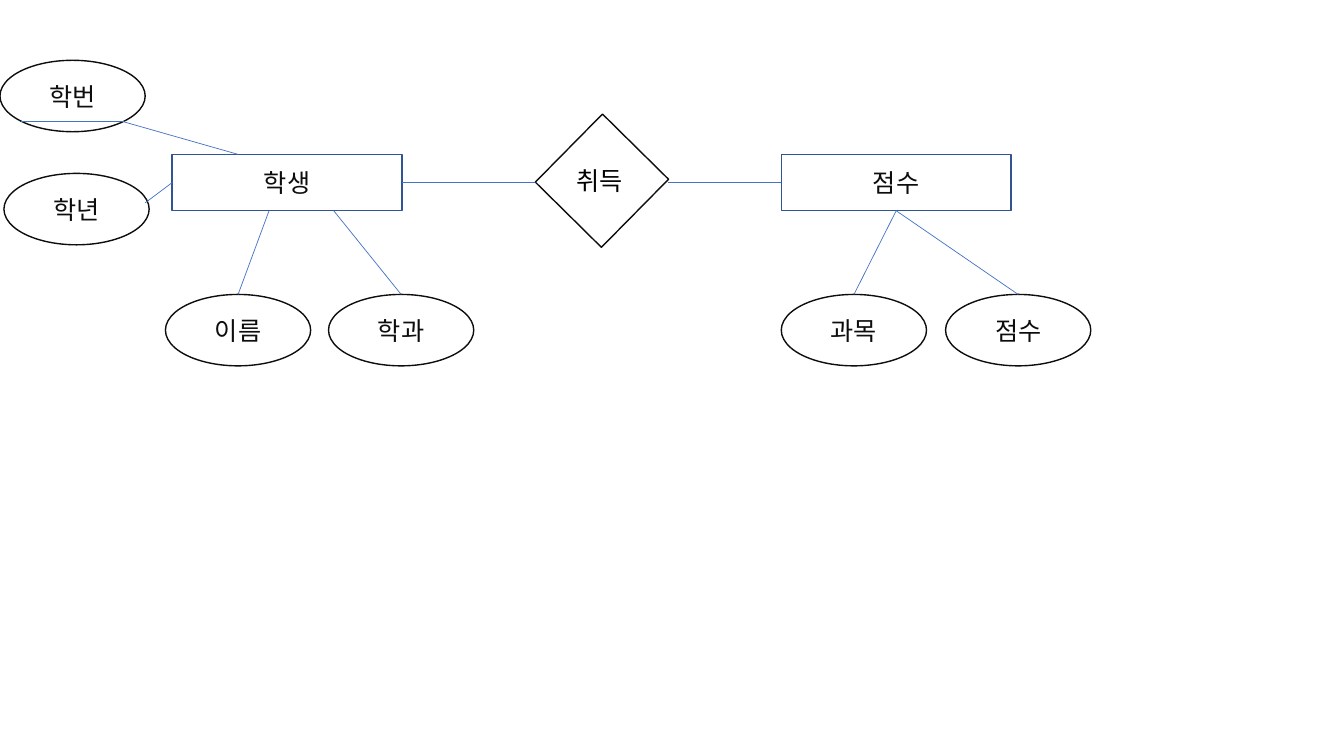
from dataclasses import dataclass
from typing import Optional

import lxml.etree
import pptx
import pptx.dml.color
import pptx.enum.shapes
import pptx.enum.text
import pptx.oxml.ns
import pptx.shapes.autoshape
import pptx.slide
import pptx.text.text
import pptx.util

Cm = pptx.util.Cm
Kind = pptx.enum.shapes.MSO_SHAPE
Align = pptx.enum.text.PP_ALIGN
Point = tuple[float, float]


@dataclass(frozen=True)
class Theme:
    font: str = "Noto Sans CJK KR"
    text_size: float = 18
    paper: str = "FFFFFF"
    ink: str = "0D0D0D"
    relation_ink: str = "000000"
    entity_line: str = "325491"
    link_line: str = "4472C4"
    outline_width: float = 1
    link_width: float = 0.5


@dataclass(frozen=True)
class Node:
    text: str
    left: float
    top: float
    width: float
    height: float
    kind: Kind
    line: str
    rotation: float = 0


@dataclass(frozen=True)
class Link:
    start: Point
    end: Point
    entity: Optional[str] = None  # entity joined at the start
    side: int = 0


THEME = Theme()
TOP, LEFT, BOTTOM, RIGHT = range(4)

# Entities
ENTITY_TOP, ENTITY_WIDTH, ENTITY_HEIGHT = 3.89, 5.79, 1.42
ENTITY_BOTTOM = ENTITY_TOP + ENTITY_HEIGHT
AXIS = ENTITY_TOP + ENTITY_HEIGHT / 2
STUDENT_LEFT, SCORE_LEFT = 4.34, 19.69
STUDENT_RIGHT = STUDENT_LEFT + ENTITY_WIDTH
SCORE_MIDDLE = SCORE_LEFT + ENTITY_WIDTH / 2
ENTITIES = {
    name: Node(text, left, ENTITY_TOP, ENTITY_WIDTH, ENTITY_HEIGHT,
               Kind.RECTANGLE, THEME.entity_line)
    for name, text, left in [("student", "학생", STUDENT_LEFT),
                             ("score", "점수", SCORE_LEFT)]
}

# Attributes
OVAL_WIDTH, OVAL_HEIGHT, ROW_TOP = 3.66, 1.8, 7.42
NAME_LEFT, MAJOR_LEFT, SUBJECT_LEFT, POINTS_LEFT = 4.17, 8.28, 19.69, 23.83
ATTRIBUTES = [
    Node(text, left, top, OVAL_WIDTH, OVAL_HEIGHT, Kind.OVAL, THEME.ink)
    for text, left, top in [
        ("학번", 0, 1.52),
        ("학년", 0.1, 4.37),
        ("이름", NAME_LEFT, ROW_TOP),
        ("학과", MAJOR_LEFT, ROW_TOP),
        ("과목", SUBJECT_LEFT, ROW_TOP),
        ("점수", POINTS_LEFT, ROW_TOP),
    ]
]

# Relationship: a turned rectangle with its label on top
RELATION = Node("", 14, 3.35, 2.34, 2.41, Kind.RECTANGLE, THEME.ink, 44.6)


def oval_top(left: float) -> Point:
    return left + OVAL_WIDTH / 2, ROW_TOP


KEY_END = (3.12, 3.07)
LINKS = [
    Link((0.53, 3.07), KEY_END),  # key underline
    Link(KEY_END, (6, ENTITY_TOP)),
    Link((STUDENT_LEFT, AXIS), (3.66, 5.11), "student", LEFT),
    Link((6.78, ENTITY_BOTTOM), oval_top(NAME_LEFT)),
    Link((8.41, ENTITY_BOTTOM), oval_top(MAJOR_LEFT)),
    Link((STUDENT_RIGHT, AXIS), (13.49, AXIS), "student", RIGHT),
    Link((SCORE_LEFT, AXIS), (16.84, AXIS), "score", LEFT),
    Link((SCORE_MIDDLE, ENTITY_BOTTOM), oval_top(SUBJECT_LEFT), "score", BOTTOM),
    Link((SCORE_MIDDLE, ENTITY_BOTTOM), oval_top(POINTS_LEFT), "score", BOTTOM),
]


def rgb(value: str) -> pptx.dml.color.RGBColor:
    return pptx.dml.color.RGBColor.from_string(value)


def write(frame: pptx.text.text.TextFrame, text: str, color: str, align: Align) -> None:
    para = frame.paragraphs[0]
    para.alignment = align
    span = para.add_run()
    span.text = text
    span.font.size = pptx.util.Pt(THEME.text_size)
    span.font.color.rgb = rgb(color)
    span.font.name = THEME.font
    # Hangul takes the East Asian typeface
    properties = span.font._element
    lxml.etree.SubElement(properties, pptx.oxml.ns.qn("a:ea"), typeface=THEME.font)


def draw_node(page: pptx.slide.Slide, node: Node) -> pptx.shapes.autoshape.Shape:
    shape = page.shapes.add_shape(node.kind, Cm(node.left), Cm(node.top),
                                  Cm(node.width), Cm(node.height))
    shape.shadow.inherit = False
    shape.rotation = node.rotation
    shape.fill.solid()
    shape.fill.fore_color.rgb = rgb(THEME.paper)
    shape.line.color.rgb = rgb(node.line)
    shape.line.width = pptx.util.Pt(THEME.outline_width)
    if node.text:
        shape.text_frame.vertical_anchor = pptx.enum.text.MSO_ANCHOR.MIDDLE
        write(shape.text_frame, node.text, THEME.ink, Align.CENTER)
    return shape


def draw_link(page: pptx.slide.Slide, link: Link,
              entities: dict[str, pptx.shapes.autoshape.Shape]) -> None:
    line = page.shapes.add_connector(
        pptx.enum.shapes.MSO_CONNECTOR.STRAIGHT,
        *(Cm(value) for value in link.start + link.end))
    line.line.color.rgb = rgb(THEME.link_line)
    line.line.width = pptx.util.Pt(THEME.link_width)
    lxml.etree.SubElement(line._element.spPr, pptx.oxml.ns.qn("a:effectLst"))
    if link.entity:
        line.begin_connect(entities[link.entity], link.side)


def draw_relation_label(page: pptx.slide.Slide) -> None:
    box = page.shapes.add_textbox(Cm(14.27), Cm(4.04), Cm(1.8), Cm(1.02))
    box.text_frame.word_wrap = False
    box.text_frame.auto_size = pptx.enum.text.MSO_AUTO_SIZE.SHAPE_TO_FIT_TEXT
    write(box.text_frame, "취득", THEME.relation_ink, Align.LEFT)


def main() -> None:
    deck = pptx.Presentation()
    deck.slide_width, deck.slide_height = Cm(33.87), Cm(19.05)
    page = deck.slides.add_slide(deck.slide_layouts[6])

    entities = {name: draw_node(page, node) for name, node in ENTITIES.items()}
    for attribute in ATTRIBUTES:
        draw_node(page, attribute)
    draw_node(page, RELATION)
    draw_relation_label(page)
    for link in LINKS:
        draw_link(page, link, entities)

    deck.save("out.pptx")


if __name__ == "__main__":
    main()
